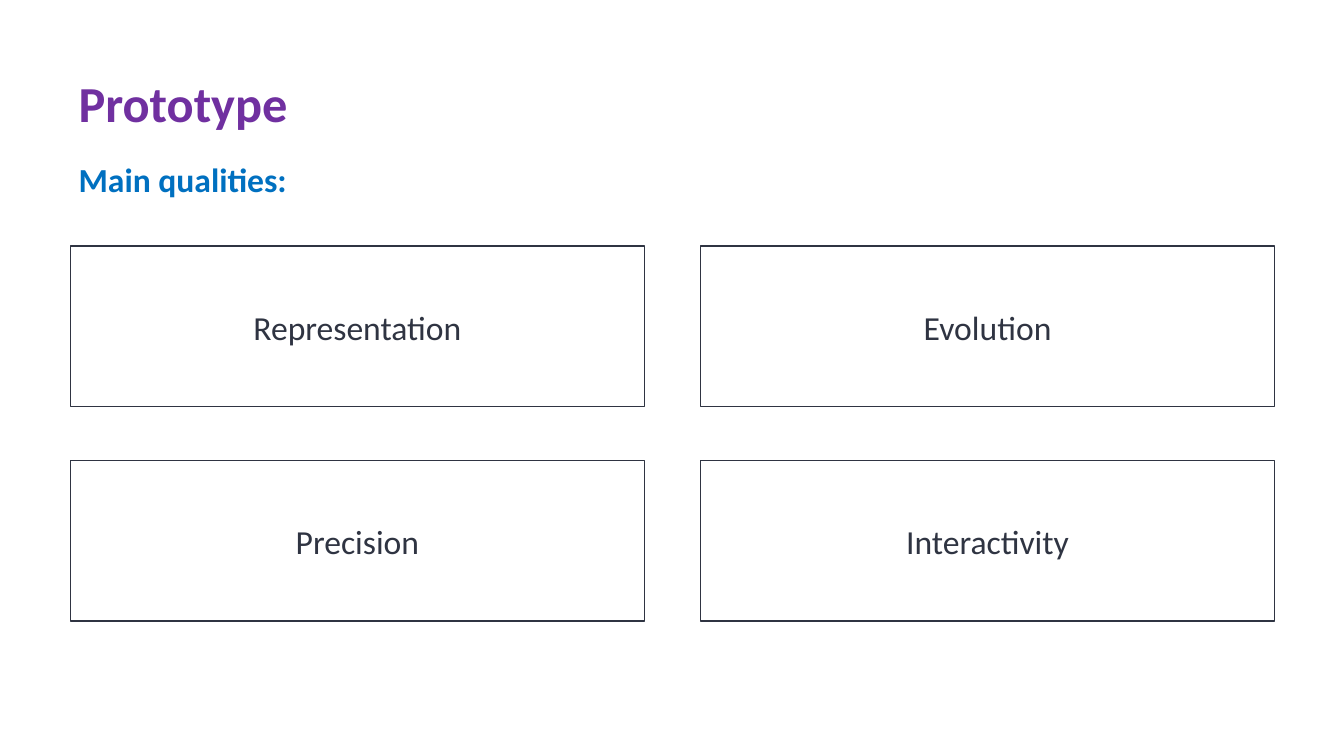
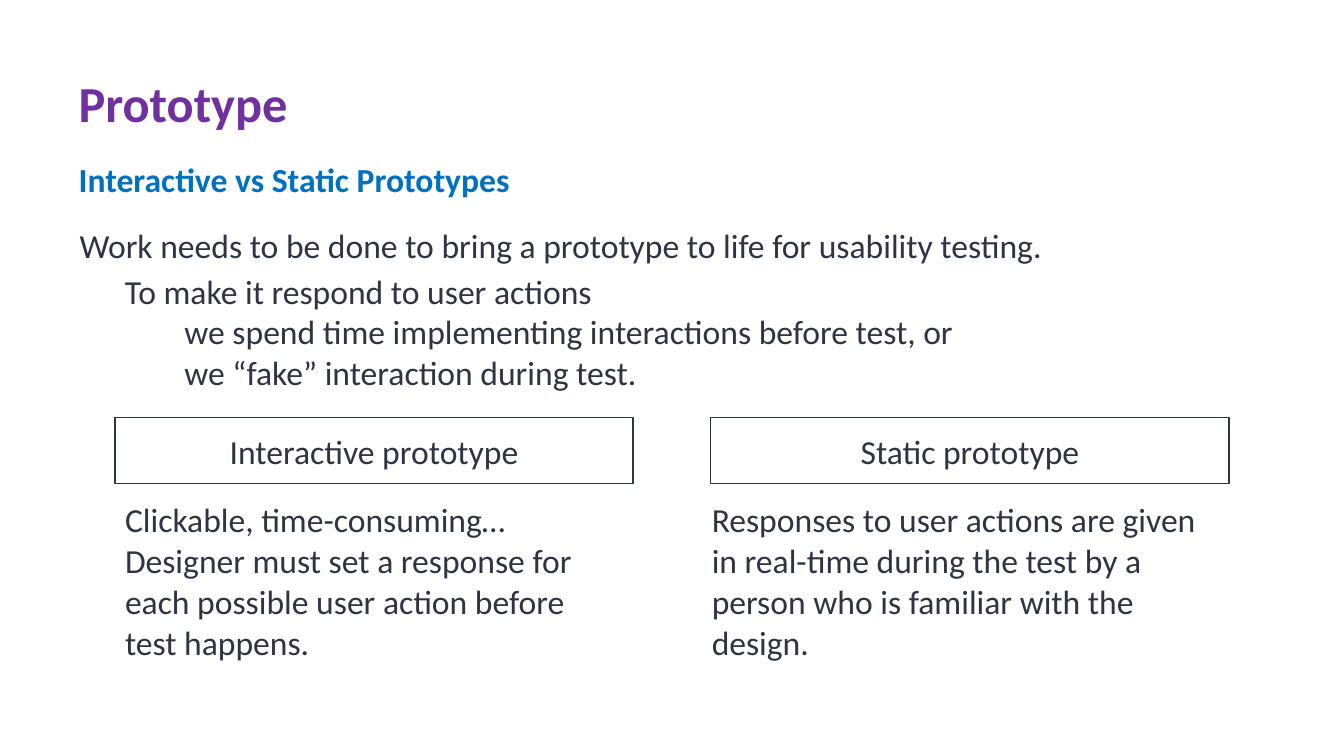
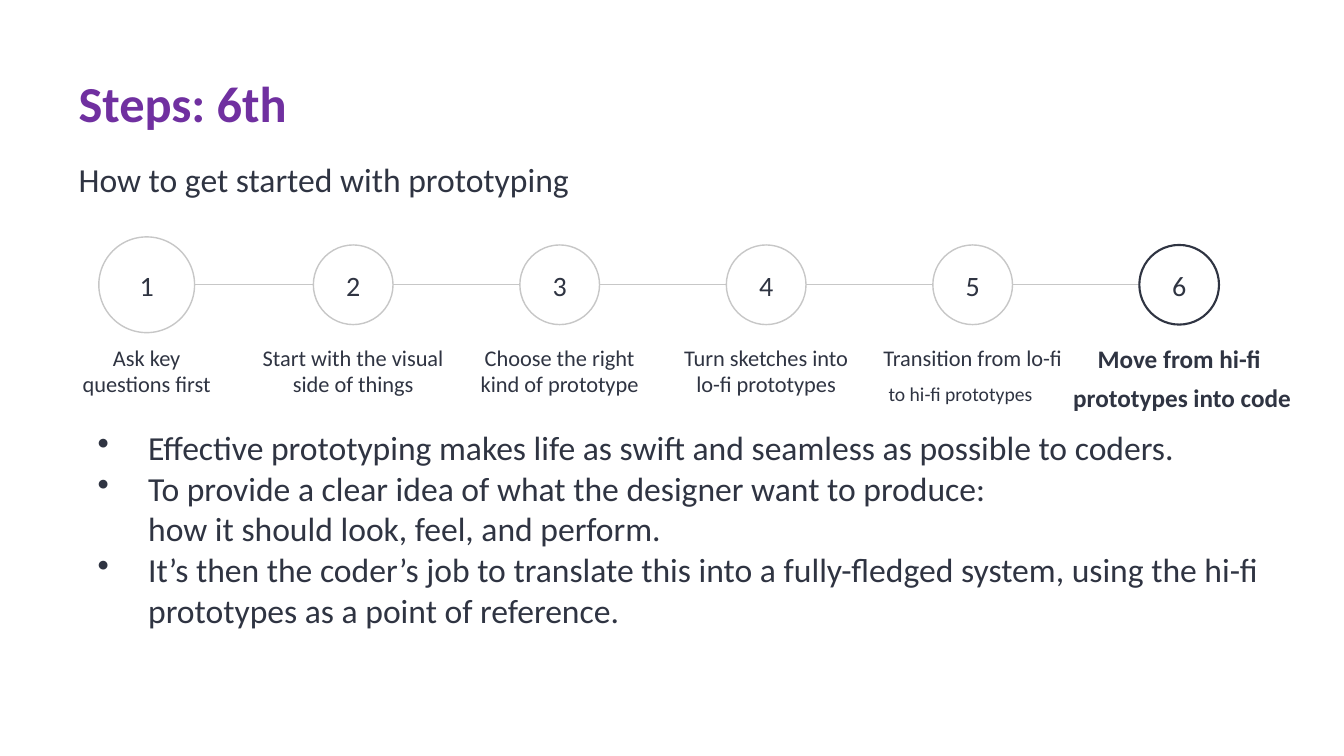
import pptx
import pptx.util
import pptx.dml.color
import pptx.enum.shapes
import pptx.enum.text
from lxml import etree

Inches, Pt = pptx.util.Inches, pptx.util.Pt
RGBColor = pptx.dml.color.RGBColor
SHAPE = pptx.enum.shapes.MSO_SHAPE
ALIGN = pptx.enum.text.PP_ALIGN
ANCHOR = pptx.enum.text.MSO_ANCHOR

PURPLE = RGBColor(0x70, 0x30, 0xA0)
BLUE = RGBColor(0x00, 0x70, 0xC0)
INK = RGBColor(0x2F, 0x34, 0x42)
GREY = RGBColor(0xC7, 0xC7, 0xC7)

BODY = {"name": "Calibri", "size": Pt(24), "bold": False}
TITLE = {**BODY, "size": Pt(36), "bold": True}
SUBTITLE = {**BODY, "bold": True}
NUMBER = {**BODY, "size": Pt(20)}
LABEL = {**BODY, "size": Pt(16)}
SMALL_LABEL = {**BODY, "size": Pt(14)}
CURRENT_LABEL = {**BODY, "size": Pt(18), "bold": True}

LEFT, WIDTH = 0.78, 11.77
A_NS = "http://schemas.openxmlformats.org/drawingml/2006/main"


def fill_text(tf, paragraphs, font, color, align=ALIGN.LEFT, anchor=ANCHOR.TOP):
    """Write (text, paragraph format) pairs into a text frame."""
    frame = {"word_wrap": True, "vertical_anchor": anchor, "margin_left": 0,
             "margin_right": 0, "margin_top": Inches(0.01), "margin_bottom": 0}
    for name, value in frame.items():
        setattr(tf, name, value)
    for i, (text, layout) in enumerate(paragraphs):
        p = tf.paragraphs[0] if i == 0 else tf.add_paragraph()
        p.text = text
        for name, value in {"alignment": align, **layout}.items():
            setattr(p, name, value)
        for r in p.runs:
            for name, value in font.items():
                setattr(r.font, name, value)
            r.font.color.rgb = color


def add_text(s, box, paragraphs, font=BODY, color=INK, align=ALIGN.LEFT):
    if isinstance(paragraphs, str):
        paragraphs = [(paragraphs, {"space_before": Pt(1)})]
    tf = s.shapes.add_textbox(*map(Inches, box)).text_frame
    fill_text(tf, paragraphs, font, color, align)
    return tf


def add_outline(s, kind, box, text, font=BODY, line=INK, weight=1):
    """Unfilled shape with centred text."""
    sp = s.shapes.add_shape(kind, *map(Inches, box))
    sp.shadow.inherit = False
    sp.fill.background()
    sp.line.color.rgb = line
    sp.line.width = Pt(weight)
    fill_text(sp.text_frame, [(text, {})], font, INK, ALIGN.CENTER, ANCHOR.MIDDLE)


def add_link(s, x1, x2, y):
    c = s.shapes.add_connector(pptx.enum.shapes.MSO_CONNECTOR.STRAIGHT,
                               Inches(x1), Inches(y), Inches(x2), Inches(y))
    c.line.color.rgb = GREY
    c.line.width = Pt(1)
    etree.SubElement(c.line._get_or_add_ln().getparent(), f"{{{A_NS}}}effectLst")


def new_slide(prs, title, subtitle, font=SUBTITLE, color=BLUE):
    s = prs.slides.add_slide(prs.slide_layouts[6])
    add_text(s, (LEFT, 0.71, WIDTH, 0.62), title, TITLE, PURPLE)
    add_text(s, (LEFT, 1.57, WIDTH, 0.43), subtitle, font, color)
    return s


def quality_grid(s, box, rows, gap_x, gap_y):
    x, y, w, h = box
    cell_w = (w - gap_x * (len(rows[0]) - 1)) / len(rows[0])
    cell_h = (h - gap_y * (len(rows) - 1)) / len(rows)
    for i, row in enumerate(rows):
        for j, name in enumerate(row):
            add_outline(s, SHAPE.RECTANGLE,
                        (x + j * (cell_w + gap_x), y + i * (cell_h + gap_y),
                         cell_w, cell_h), name)


def prototype_column(s, box, heading, text, text_x, text_w):
    x, y, w, h = box
    add_outline(s, SHAPE.RECTANGLE, (x, y, w, 0.66), heading)
    add_text(s, (x + text_x, y + 0.8, text_w, h - 0.8),
             [(text, {"space_before": Pt(0.8), "line_spacing": 1.01})])


def step_timeline(s, box, steps, first_d, d, current):
    """Numbered circles joined by lines, each with a label of one or two rows."""
    x, y, w, h = box
    pitch = (w - first_d / 2 - d / 2) / (len(steps) - 1)
    mid_y = y + first_d / 2
    edge = None
    for i, rows in enumerate(steps):
        cx = x + first_d / 2 + i * pitch
        size = d if i else first_d
        active = i + 1 == current
        if edge is not None:
            add_link(s, edge, cx - size / 2, mid_y)
        edge = cx + size / 2
        add_outline(s, SHAPE.OVAL, (cx - size / 2, mid_y - size / 2, size, size),
                    str(i + 1), NUMBER, INK if active else GREY, 1.5 if active else 1)
        for text, font, dx, dy in rows:
            add_text(s, (cx + dx - 1.15, y + 1.05 + dy, 2.3, h - 1.05 - dy),
                     text, font, align=ALIGN.CENTER)


def bullet_list(s, box, items):
    paragraphs = [(text, {"space_before": Pt(before), "line_spacing": spacing})
                  for text, before, spacing in items]
    tf = add_text(s, box, paragraphs)
    for p in tf.paragraphs:
        pPr = p._p.get_or_add_pPr()
        pPr.set("marL", str(Inches(0.51)))
        pPr.set("indent", str(-Inches(0.5)))
        etree.SubElement(pPr, f"{{{A_NS}}}buChar", char="•")


def set_indents(tf, indents):
    for p, indent in zip(tf.paragraphs, indents):
        p._p.get_or_add_pPr().set("marL", str(Inches(indent)))


def qualities_slide(prs):
    s = new_slide(prs, "Prototype", "Main qualities:")
    quality_grid(s, (0.7, 2.44, 11.94, 3.72),
                 [["Representation", "Evolution"], ["Precision", "Interactivity"]],
                 0.56, 0.54)


def comparison_slide(prs):
    s = new_slide(prs, "Prototype", "Interactive vs Static Prototypes")
    tf = add_text(s, (LEFT, 2.22, WIDTH, 1.68), [
        ("Work needs to be done to bring a prototype to life for usability testing.", {}),
        ("To make it respond to user actions", {"space_before": Pt(3.9)}),
        ("we spend time implementing interactions before test, or\v"
         "we “fake” interaction during test.", {"line_spacing": 1.01}),
    ])
    set_indents(tf, [0.01, 0.46, 1.05])
    prototype_column(s, (1.14, 4.14, 5.14, 2.44), "Interactive prototype",
                     "Clickable, time-consuming… Designer must set a response for "
                     "each possible user action before test happens.", 0.1, 4.46)
    prototype_column(s, (7.05, 4.14, 5.14, 2.44), "Static prototype",
                     "Responses to user actions are given in real-time during the test "
                     "by a person who is familiar with the design.", 0.01, 4.83)


def steps_slide(prs):
    s = new_slide(prs, "Steps: 6th", "How to get started with prototyping", BODY, INK)
    # Label rows: text, font, offset from the circle's centre, drop
    steps = [[(text, LABEL, 0, 0)] for text in (
        "Ask key\vquestions first",
        "Start with the visual\vside of things",
        "Choose the right\vkind of prototype",
        "Turn sketches into\vlo-fi prototypes",
    )]
    steps.append([("Transition from lo-fi", LABEL, 0, 0),
                  ("to hi-fi prototypes", SMALL_LABEL, -0.12, 0.38)])
    steps.append([("Move from hi-fi", CURRENT_LABEL, 0, 0),
                  ("prototypes into code", CURRENT_LABEL, 0.03, 0.38)])
    step_timeline(s, (0.98, 2.35, 11.11, 1.7), steps, 0.95, 0.79, current=6)
    bullet_list(s, (0.96, 4.23, 11.6, 2.04), [
        ("Effective prototyping makes life as swift and seamless as possible to coders.",
         1, 1.0),
        ("To provide a clear idea of what the designer want to produce:\v"
         "how it should look, feel, and perform.", 0.2, 1.0),
        ("It’s then the coder’s job to translate this into a fully-fledged system, "
         "using the hi-fi prototypes as a point of reference.", 0, 1.01),
    ])


def main():
    prs = pptx.Presentation()
    prs.slide_width, prs.slide_height = Inches(13.33), Inches(7.5)
    qualities_slide(prs)
    comparison_slide(prs)
    steps_slide(prs)
    prs.save("out.pptx")


if __name__ == "__main__":
    main()
